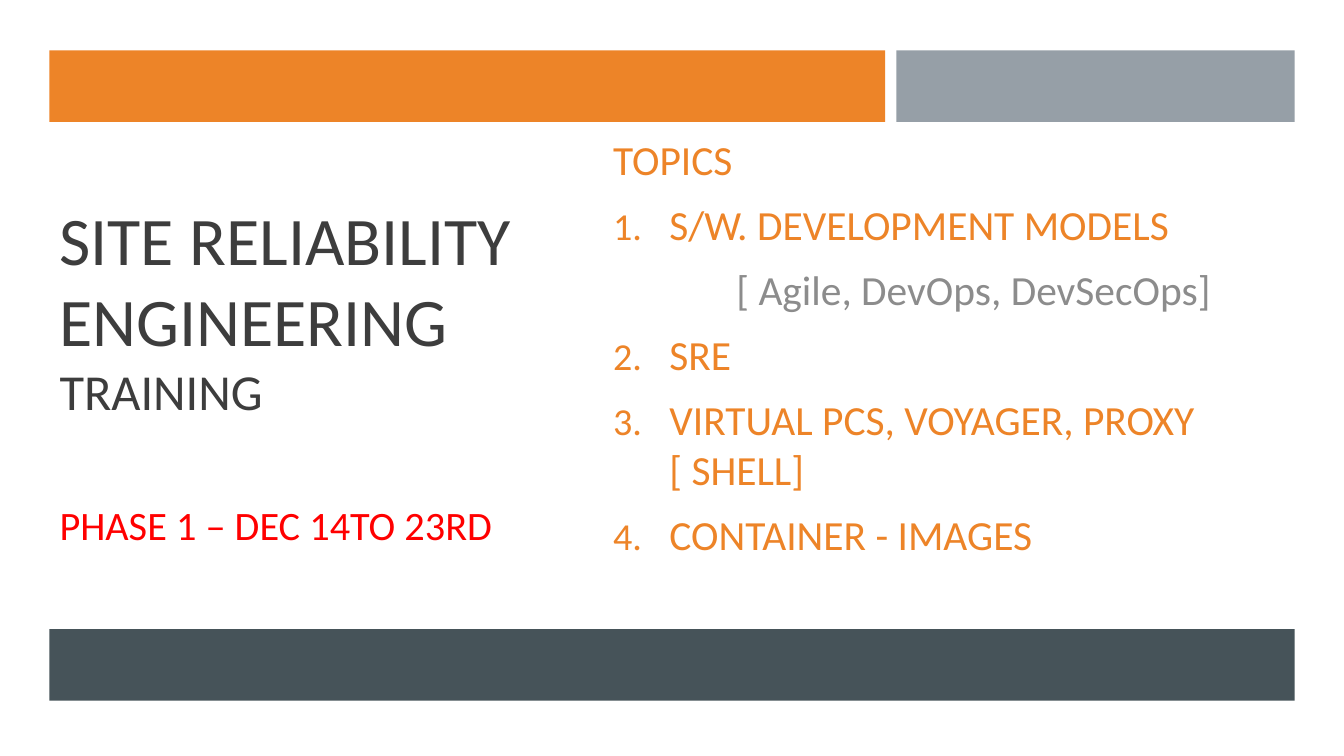
from lxml.etree import SubElement
from pptx import Presentation
from pptx.dml.color import RGBColor
from pptx.enum.shapes import MSO_SHAPE as Preset
from pptx.enum.text import MSO_ANCHOR as Anchor, MSO_AUTO_SIZE as AutoSize, PP_ALIGN as Align
from pptx.oxml.ns import qn
from pptx.util import Inches, Pt

COLORS = {"white": "FFFFFF", "orange": "ED8428", "silver": "969FA7",
          "slate": "465359", "dark": "3D3D3D", "gray": "8C8C8C", "red": "FF0000"}
FONT = "Calibri"
WIDTH, HEIGHT = 13.33, 7.5
LEFT, RIGHT = 0.49, 12.84
SPLIT = 5.98
BAR_HEIGHT = 0.71
TEXT_TOP, TEXT_HEIGHT = 1.7, 4
TOPIC_SIZE = 29.6
TOPICS = [("TOPICS", "heading"),
          ("S/W. DEVELOPMENT MODELS", "number"),
          ("[ Agile, DevOps, DevSecOps]", "detail"),
          ("SRE", "number"),
          ("VIRTUAL PCS, VOYAGER, PROXY [ SHELL]", "number"),
          ("CONTAINER - IMAGES", "number")]


def color(name):
    return RGBColor.from_string(COLORS[name])


def add_span(para, text, size, tint):
    span = para.add_run()
    span.text = text
    span.font.name = FONT
    span.font.size = Pt(size)
    span.font.color.rgb = color(tint)


def set_indent(para, left, first):
    props = para._p.get_or_add_pPr()
    props.set("marL", str(Inches(left)))
    props.set("indent", str(Inches(first)))
    return props


def add_number(props):
    tint = SubElement(props, qn("a:buClr"))
    SubElement(tint, qn("a:srgbClr"), val=COLORS["orange"])
    SubElement(props, qn("a:buSzPct"), val="92000")
    SubElement(props, qn("a:buFont"), typeface="+mj-lt")
    SubElement(props, qn("a:buAutoNum"), type="arabicPeriod")


def place(holder, left, top, width, height):
    holder.left, holder.top = Inches(left), Inches(top)
    holder.width, holder.height = Inches(width), Inches(height)
    frame = holder.text_frame
    frame.word_wrap = True
    frame.auto_size = AutoSize.NONE
    frame.vertical_anchor = Anchor.MIDDLE
    return frame


def fill_title(holder, *box):
    frame = place(holder, *box)
    name = frame.paragraphs[0]
    add_span(name, "SITE RELIABILITY ENGINEERING ", 48.6, "dark")
    add_span(name, "TRAINING", 36, "dark")
    phase = frame.add_paragraph()
    phase.space_before = Pt(57)
    add_span(phase, "PHASE 1 – DEC 14TO 23RD", 28.8, "red")
    for para in frame.paragraphs:
        para.alignment = Align.LEFT


def fill_topics(holder, *box):
    frame = place(holder, *box)
    frame.margin_bottom = Inches(0.58)  # lifts the centred list
    for index, (text, role) in enumerate(TOPICS):
        para = frame.add_paragraph() if index else frame.paragraphs[0]
        para.alignment = Align.CENTER if role == "detail" else Align.LEFT
        para.space_before = Pt(5 if index else 0)
        para.space_after = Pt(6)
        if role == "number":
            add_number(set_indent(para, 0.56, -0.56))
        elif role == "detail":
            para.level = 1
            set_indent(para, 0.5, 0)
        add_span(para, text, TOPIC_SIZE, "gray" if role == "detail" else "orange")


def add_bar(page, left, top, right, tint):
    bar = page.shapes.add_shape(Preset.RECTANGLE, Inches(left), Inches(top),
                                Inches(right - left), Inches(BAR_HEIGHT))
    bar.shadow.inherit = False
    bar.fill.solid()
    bar.fill.fore_color.rgb = color(tint)
    bar.line.fill.background()


def build_cover(deck):
    page = deck.slides.add_slide(deck.slide_layouts[0])
    page.background.fill.solid()
    page.background.fill.fore_color.rgb = color("white")
    # Title on the left, topics on the right
    fill_title(page.shapes.title, LEFT, TEXT_TOP, SPLIT - LEFT, TEXT_HEIGHT)
    fill_topics(page.placeholders[1], SPLIT, TEXT_TOP, RIGHT - SPLIT, TEXT_HEIGHT)
    # Bars above and below
    add_bar(page, LEFT, 0.5, 8.78, "orange")
    add_bar(page, 8.89, 0.5, RIGHT, "silver")
    add_bar(page, LEFT, 6.24, RIGHT, "slate")


def main():
    deck = Presentation()
    deck.slide_width, deck.slide_height = Inches(WIDTH), Inches(HEIGHT)
    build_cover(deck)
    deck.save("out.pptx")


if __name__ == "__main__":
    main()
